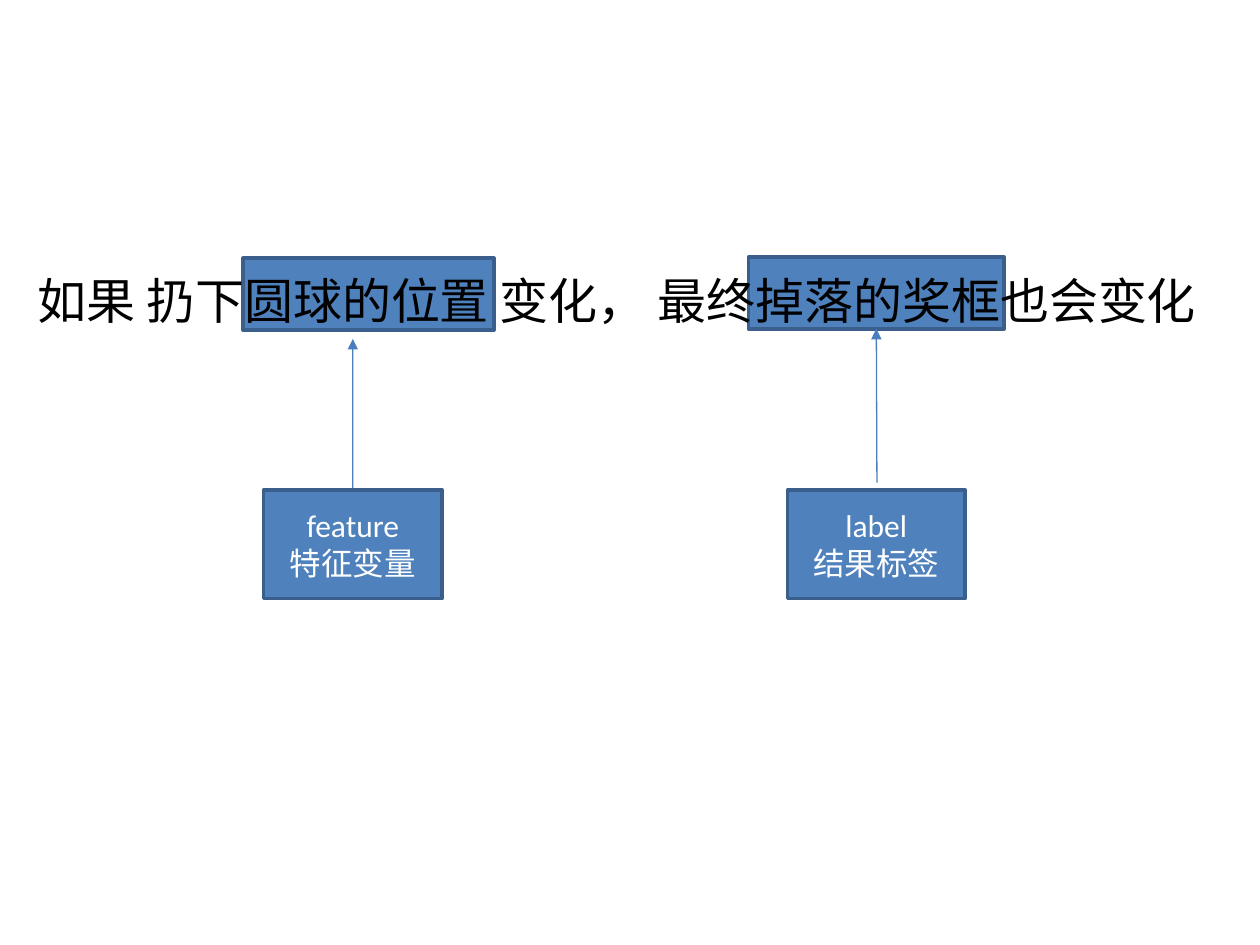
from pptx import Presentation
from pptx.dml.color import RGBColor
from pptx.enum.shapes import MSO_CONNECTOR as Connector, MSO_SHAPE as Shape
from pptx.enum.text import MSO_ANCHOR as Anchor, MSO_AUTO_SIZE as AutoSize, PP_ALIGN as Align
from pptx.oxml.ns import qn
from pptx.util import Inches, Pt
from lxml.etree import SubElement

BOX_FILL = "4F81BD"
BOX_LINE = "3A5F8C"
ARROW_LINE = "4B7EBC"
SENTENCE_FONT = {"name": "Calibri", "size": Pt(28)}
TERM_FONT = {"name": "Calibri", "size": Pt(18)}


def color(hex_value):
    return RGBColor.from_string(hex_value)


def set_font(paragraph, formats, hex_value):
    for key, value in formats.items():
        setattr(paragraph.font, key, value)
    paragraph.font.color.rgb = color(hex_value)


def add_box(slide, box):
    rectangle = slide.shapes.add_shape(Shape.RECTANGLE, *map(Inches, box))
    rectangle.shadow.inherit = False
    rectangle.fill.solid()
    rectangle.fill.fore_color.rgb = color(BOX_FILL)
    rectangle.line.color.rgb = color(BOX_LINE)
    rectangle.line.width = Pt(2)
    return rectangle


def add_sentence(slide, box, wording):
    sentence = slide.shapes.add_textbox(*map(Inches, box))
    frame = sentence.text_frame
    frame.word_wrap = True
    frame.auto_size = AutoSize.SHAPE_TO_FIT_TEXT
    frame.text = wording
    set_font(frame.paragraphs[0], SENTENCE_FONT, "000000")


def add_arrow(slide, x, bottom, top):
    arrow = slide.shapes.add_connector(
        Connector.STRAIGHT, Inches(x), Inches(bottom), Inches(x), Inches(top))
    arrow.line.color.rgb = color(ARROW_LINE)
    arrow.line.width = Pt(0.75)
    SubElement(arrow.line._get_or_add_ln(), qn("a:tailEnd"), type="triangle")
    SubElement(arrow._element.spPr, qn("a:effectLst"))
    return arrow


def add_term(slide, box, wording):
    term = add_box(slide, box)
    frame = term.text_frame
    frame.word_wrap = True
    frame.vertical_anchor = Anchor.MIDDLE
    frame.text = wording
    for paragraph in frame.paragraphs:
        paragraph.alignment = Align.CENTER
        set_font(paragraph, TERM_FONT, "FFFFFF")
    return term


def main():
    deck = Presentation()
    deck.slide_width, deck.slide_height = Inches(10), Inches(7.5)
    slide = deck.slides.add_slide(deck.slide_layouts[6])

    result_highlight = add_box(slide, (5.94, 2.04, 2.03, 0.57))
    add_box(slide, (1.93, 2.05, 1.99, 0.57))
    add_sentence(slide, (0.2, 2.1, 9.61, 0.57),
                 "如果 扔下圆球的位置 变化， 最终掉落的奖框也会变化")

    feature_arrow = add_arrow(slide, 2.8, 3.89, 2.69)
    label_arrow = add_arrow(slide, 6.96, 3.83, 2.61)
    feature = add_term(slide, (2.09, 3.89, 1.42, 0.86), "feature\n特征变量")
    add_term(slide, (6.25, 3.89, 1.41, 0.86), "label\n结果标签")
    feature_arrow.begin_connect(feature, 0)
    label_arrow.end_connect(result_highlight, 2)

    deck.save("out.pptx")


if __name__ == "__main__":
    main()
